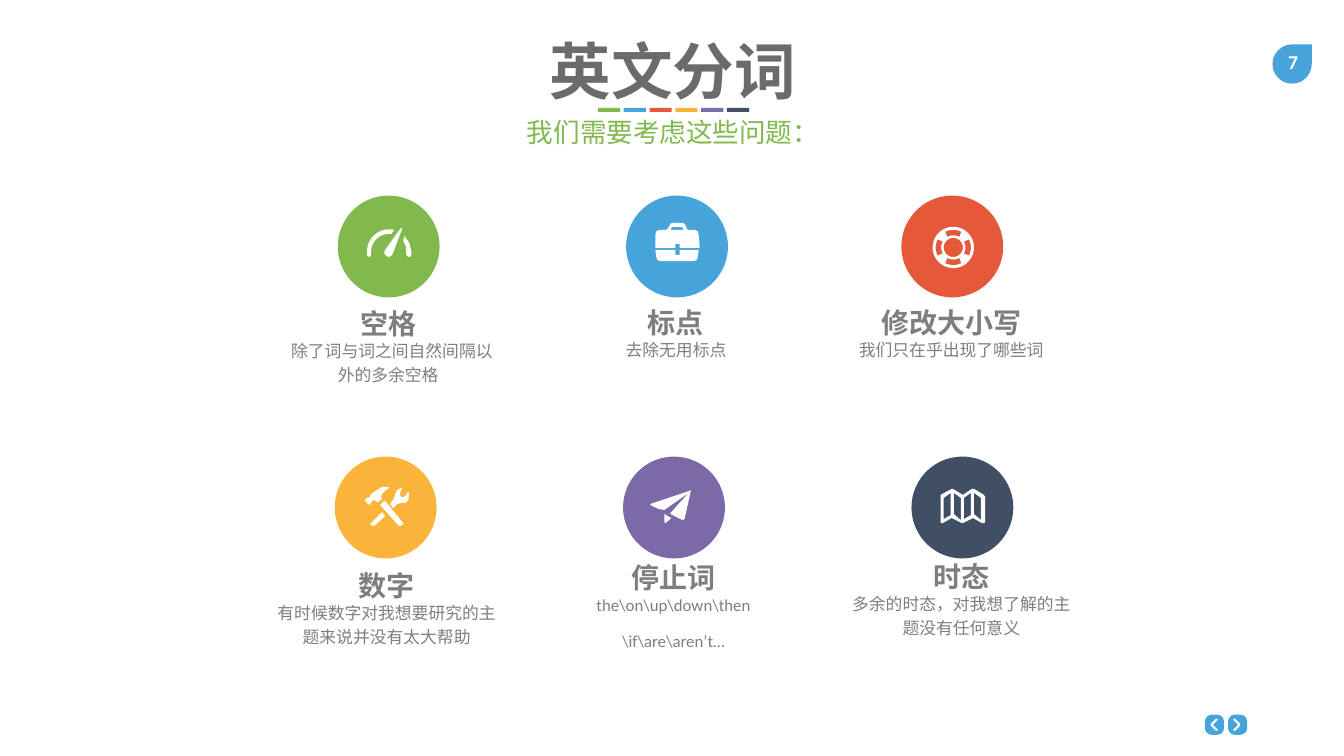
"""Build the slide on splitting English text into words."""
import math
from dataclasses import dataclass

import pptx
import pptx.dml.color
import pptx.enum.shapes
import pptx.enum.text
import pptx.util

RGB = pptx.dml.color.RGBColor
SHAPE = pptx.enum.shapes.MSO_SHAPE
ALIGN = pptx.enum.text.PP_ALIGN
ANCHOR = pptx.enum.text.MSO_ANCHOR
FIT = pptx.enum.text.MSO_AUTO_SIZE

GREEN = RGB(0x81, 0xB9, 0x4F)
BLUE = RGB(0x46, 0xA4, 0xDB)
RED = RGB(0xE5, 0x58, 0x3A)
YELLOW = RGB(0xF9, 0xB4, 0x39)
PURPLE = RGB(0x7C, 0x69, 0xA8)
NAVY = RGB(0x40, 0x4F, 0x64)
WHITE = RGB(0xFF, 0xFF, 0xFF)
GREY = RGB(0x7E, 0x7E, 0x7E)
DARK_GREY = RGB(0x6B, 0x6B, 0x6B)

COLS, ROWS = 1333, 750
SLIDE_W, SLIDE_H = pptx.util.Inches(13.33), pptx.util.Inches(7.5)
COL, ROW = SLIDE_W / COLS, SLIDE_H / ROWS
FINE = 100
DISC = 101
BODY_W = 239

Contour = list[tuple[float, float]]


@dataclass
class Icon:
    """Outlines in grid units and their offset inside a disc."""
    dx: float
    dy: float
    contours: list[Contour]


@dataclass
class Topic:
    """One disc with its icon, heading and explanation."""
    color: RGB
    x: float
    y: float
    text_x: float
    text_y: float
    head: str
    body: list[str]
    body_h: float
    icon: Icon
    indent: float = 0


def arc(cx: float, cy: float, r: float, start: float, end: float) -> Contour:
    """Return points along an arc, with angles in degrees."""
    steps = max(4, round(abs(end - start) / 6))
    angles = [math.radians(start + (end - start) * i / steps) for i in range(steps + 1)]
    return [(cx + r * math.cos(a), cy + r * math.sin(a)) for a in angles]


GAUGE = Icon(29, 31, [
    [(18, 23), (17, 26), (19, 29), (22, 30), (25, 28), (35, 2), (34.5, 1), (33, 2)],
    [(0, 28), *arc(22, 24.5, 22, 180, 283), *arc(22, 25, 18, 277, 180), (4, 28), (2.5, 30), (1, 29.5)],
    [(37, 9), (36, 14), (38.5, 19), (39, 28), (41, 30), (43, 29.5), (44, 28), (44, 25), (42, 16)],
])
BRIEFCASE = Icon(29, 27, [
    [(20, 21), (24, 21), (24, 25), (44, 25), (43, 12), (42, 8.5), (39, 7), (32, 7), (30, 3),
     (29, 1), (26, 0), (17, 0), (15, 1), (13, 5), (11, 7), (4, 7), (1, 8.5), (0, 12), (0, 25), (20, 25)],
    [(16, 5), (18, 4), (25, 4), (27, 5), (28, 7), (15, 7)],
    [(24, 32), (20, 32), (20, 27), (0, 27), (1, 34), (2, 37), (5, 38), (38, 38), (41, 37),
     (42, 34), (43, 27), (24, 27)],
])
LIFEBUOY = Icon(31, 31, [arc(20.5, 20.5, r, 0, 360) for r in (20.5, 9.5)] + [
    arc(20.5, 20.5, 17.5, a - 27, a + 27) + arc(20.5, 20.5, 12, a + 30, a - 30)
    for a in range(0, 360, 90)])
TOOLS = Icon(30, 30, [
    [(7, 14), (9, 13), (12, 15), (13, 15), (17, 12), (16, 10), (17, 7), (20, 4), (24, 1), (23, 0),
     (17, 0), (9, 5), (6, 7), (5, 10), (2, 11), (0, 13), (0, 14), (3, 17), (5, 18), (6, 16)],
    [(19, 14), (15, 18), (34, 39), (35, 39), (38, 37), (38, 36), (20, 14)],
    [(44, 6), (42, 5), (41, 8), (38, 10.5), (36, 10), (34.5, 7), (35, 5), (37, 2), (36, 1), (32, 3),
     (30, 7), (29, 11), (25, 17), (28, 21), (32, 17), (36, 16), (40, 16), (43, 13)],
    [(6, 36), (5, 37), (8, 39), (9, 39), (20, 29), (17, 25)],
])
PLANE = Icon(27, 33, [
    [(39, 1), (0, 14), (0, 15), (8, 19), (14, 20), (38, 3), (20, 23), (20, 24), (32, 30), (34, 29),
     (40, 2), (40, 0)],
    [(14, 32), (15, 33), (21, 28), (14, 24)],
])
FOLDED_MAP = Icon(29, 32, [
    [(43, 6), (33, 0), (31, 0), (22, 6), (12, 0), (11, 0), (0, 6), (0, 34), (2, 34), (11, 29),
     (21, 34), (22, 34), (32, 29), (41, 34), (43, 34), (44, 33), (44, 8)],
    *[[(x, 9 - d), (x + 7, 4 + d), (x + 7, 26 + d), (x, 30 - d)]
      for x, d in ((3, 0), (13, 5), (23, 0), (33, 5))],
])
CHEVRON: Contour = [(6, 10), (7, 11), (6, 12), (5, 12), (0, 7), (0, 5), (5, 0), (6, 0), (7, 1), (6, 2), (2, 6)]

TOPICS = [
    Topic(GREEN, 335, 194, 385, 299, "空格", ["除了词与词之间自然间隔以外的多余空格"], 59, GAUGE, 7.5),
    Topic(BLUE, 621, 194, 670.5, 298, "标点", ["去除无用标点"], 33, BRIEFCASE),
    Topic(RED, 894, 194, 943.5, 298, "修改大小写", ["我们只在乎出现了哪些词"], 33, LIFEBUOY),
    Topic(YELLOW, 332, 453, 383.5, 559, "数字", ["有时候数字对我想要研究的主题来说并没有太大帮助"], 59, TOOLS),
    Topic(PURPLE, 618, 453, 668, 551, "停止词", ["the\\on\\up\\down\\then", "\\if\\are\\aren’t…"], 71, PLANE),
    Topic(NAVY, 904, 453, 953.5, 550, "时态", ["多余的时态，对我想了解的主题没有任何意义"], 59, FOLDED_MAP),
]


def box(x: float, y: float, w: float, h: float) -> list[int]:
    """Turn columns and rows into slide lengths."""
    return [round(x * COL), round(y * ROW), round(w * COL), round(h * ROW)]


def paint(sp, color: RGB) -> None:
    """Give a shape a flat fill without line or shadow."""
    sp.shadow.inherit = False
    sp.fill.solid()
    sp.fill.fore_color.rgb = color
    sp.line.fill.background()


def draw_shape(s, kind, x: float, y: float, w: float, h: float, color: RGB):
    """Add a flat preset shape."""
    sp = s.shapes.add_shape(kind, *box(x, y, w, h))
    paint(sp, color)
    return sp


def draw_outline(s, x: float, y: float, contours: list[Contour]) -> None:
    """Add one white freeform made of closed contours."""
    fine = [[(px * FINE, py * FINE) for px, py in c] for c in contours]
    fb = s.shapes.build_freeform(*fine[0][0], scale=COL / FINE)
    for i, pts in enumerate(fine):
        if i:
            fb.move_to(*pts[0])
        fb.add_line_segments(pts[1:], close=True)
    paint(fb.convert_to_shape(round(x * COL), round(y * ROW)), WHITE)


def write(sp, lines: list[str], font: dict, color: RGB, frame: dict, para: dict) -> None:
    """Fill a text frame with centred, formatted paragraphs."""
    tf = sp.text_frame
    for name, value in frame.items():
        setattr(tf, name, value)
    for i, line in enumerate(lines):
        p = tf.add_paragraph() if i else tf.paragraphs[0]
        for name, value in {"alignment": ALIGN.CENTER, **para}.items():
            setattr(p, name, value)
        r = p.add_run()
        r.text = line
        for name, value in font.items():
            setattr(r.font, name, value)
        r.font.color.rgb = color


def draw_topic(s, t: Topic) -> None:
    """Add a disc, its icon and its two texts."""
    draw_shape(s, SHAPE.OVAL, t.x, t.y, DISC, DISC, t.color)
    draw_outline(s, t.x + t.icon.dx, t.y + t.icon.dy, t.icon.contours)
    w = 28 * len(t.head) + 21
    sp = s.shapes.add_textbox(*box(t.text_x - w / 2, t.text_y, w, 44))
    write(sp, [t.head], {"name": "Lato", "size": pptx.util.Pt(20), "bold": True}, GREY,
          {"word_wrap": False, "auto_size": FIT.SHAPE_TO_FIT_TEXT}, {})
    sp = s.shapes.add_textbox(*box(t.text_x - BODY_W / 2, t.text_y + 30, BODY_W, t.body_h))
    write(sp, t.body, {"name": "Calibri", "size": pptx.util.Pt(12)}, GREY,
          {"word_wrap": True, "auto_size": FIT.SHAPE_TO_FIT_TEXT},
          {"line_spacing": 1.2, "space_before": pptx.util.Pt(8.5)})
    if t.indent:
        pPr = sp.text_frame.paragraphs[0]._p.get_or_add_pPr()
        pPr.set("indent", str(round(t.indent * COL)))


def main() -> None:
    """Build and save the slide."""
    prs = pptx.Presentation()
    prs.slide_width, prs.slide_height = SLIDE_W, SLIDE_H
    s = prs.slides.add_slide(prs.slide_layouts[5])

    middle = {"word_wrap": True, "auto_size": FIT.NONE, "vertical_anchor": ANCHOR.MIDDLE}
    title = s.shapes.title
    title.left, title.top, title.width, title.height = box(95, 27, 1145, 84)
    write(title, ["英文分词"], {"name": "Lato", "size": pptx.util.Pt(44), "bold": True}, DARK_GREY, middle, {})
    sp = s.shapes.add_textbox(*box(95, 110, 1145, 42))
    write(sp, ["我们需要考虑这些问题："], {"name": "Calibri", "size": pptx.util.Pt(19)}, GREEN, middle, {})
    for i, t in enumerate(TOPICS):
        draw_shape(s, SHAPE.RECTANGLE, 593 + 25.6 * i, 107, 22, 4, t.color)
        draw_topic(s, t)

    draw_shape(s, SHAPE.TEAR, 1262, 44, 39, 39, BLUE)
    sp = s.shapes.add_textbox(*box(1261, 45, 43, 34))
    write(sp, ["7"], {"name": "Calibri", "size": pptx.util.Pt(14), "bold": True}, WHITE,
          {"word_wrap": False, "auto_size": FIT.SHAPE_TO_FIT_TEXT}, {})
    mirrored = [(7 - x, y) for x, y in CHEVRON]
    for x, dx, arrow in ((1195, 6, CHEVRON), (1218, 5, mirrored)):
        button = draw_shape(s, SHAPE.ROUNDED_RECTANGLE, x, 709, 19, 20, BLUE)
        button.adjustments[0] = 0.35
        draw_outline(s, x + dx, 713, [arrow])
    prs.save("out.pptx")


if __name__ == "__main__":
    main()
